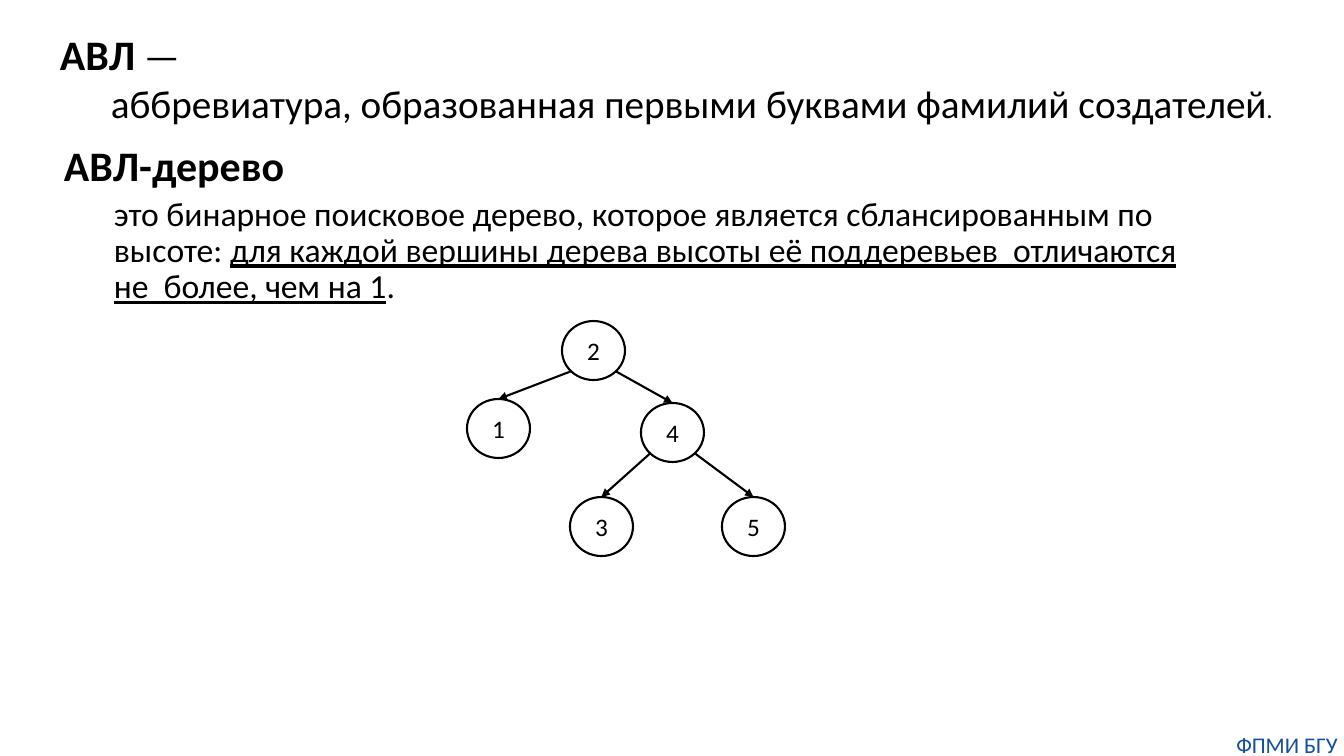
import pptx
import pptx.util
import pptx.dml.color
import pptx.enum.shapes
import pptx.enum.text
import pptx.oxml.ns
import lxml.etree

BLACK = pptx.dml.color.RGBColor(0x00, 0x00, 0x00)
BLUE = pptx.dml.color.RGBColor(0x14, 0x4E, 0x9D)
ALIGN = pptx.enum.text.PP_ALIGN
EMU_PER_PX = 914400 / 100.8


def px(*lengths):
    return [pptx.util.Emu(round(length * EMU_PER_PX)) for length in lengths]


def write(frame, paragraphs):
    """Fill a frame from (indent in px, paragraph format, [(text, run format)])."""
    frame.word_wrap = True
    for index, (indent, layout, runs) in enumerate(paragraphs):
        paragraph = frame.add_paragraph() if index else frame.paragraphs[0]
        paragraph._p.get_or_add_pPr().set("marL", str(px(indent)[0]))
        for name, value in layout.items():
            setattr(paragraph, name, value)
        for text, look in runs:
            run = paragraph.add_run()
            run.text = text
            look = {"name": "Calibri", "color": BLACK, **look}
            run.font.color.rgb = look.pop("color")
            look["size"] = pptx.util.Pt(look["size"])
            for name, value in look.items():
                setattr(run.font, name, value)


deck = pptx.Presentation()
deck.slide_width, deck.slide_height = px(1344, 756)
shapes = deck.slides.add_slide(deck.slide_layouts[6]).shapes

# Abbreviation and definition
abbreviation = shapes.add_textbox(*px(0, 24, 1290, 109))
write(abbreviation.text_frame, [
    (50, {"alignment": ALIGN.JUSTIFY}, [
        ("АВЛ", {"size": 30, "bold": True}),
        ("\u00a0", {"size": 28, "bold": True}),
        ("— ", {"size": 28})]),
    (101, {"alignment": ALIGN.JUSTIFY}, [
        ("аббревиатура, образованная первыми буквами фамилий создателей", {"size": 28}),
        (". ", {"size": 18})]),
])
definition = shapes.add_textbox(*px(54, 140, 1158, 162))
write(definition.text_frame, [
    (0, {"line_spacing": 0.9}, [("АВЛ-дерево", {"size": 30, "bold": True})]),
    (50, {"line_spacing": 0.9, "space_before": pptx.util.Pt(5)}, [
        ("это бинарное поисковое дерево, которое является сблансированным по высоте: ",
         {"size": 24}),
        ("для каждой вершины дерева высоты её поддеревьев  отличаются не  более, чем на 1",
         {"size": 24, "underline": True}),
        (".", {"size": 24})]),
])

# Tree vertices: left and top of each circle
VERTEX_WIDTH, VERTEX_HEIGHT = 63, 59
vertices = {"2": (562, 321), "4": (641, 403), "1": (467, 399),
            "3": (570, 497), "5": (722, 497)}
for key, (left, top) in vertices.items():
    vertex = shapes.add_shape(pptx.enum.shapes.MSO_SHAPE.OVAL,
                              *px(left, top, VERTEX_WIDTH, VERTEX_HEIGHT))
    vertex.shadow.inherit = False
    vertex.fill.background()
    vertex.line.color.rgb = BLACK
    vertex.line.width = pptx.util.Pt(1.5)
    vertex.text_frame.vertical_anchor = pptx.enum.text.MSO_ANCHOR.MIDDLE
    write(vertex.text_frame, [(0, {"alignment": ALIGN.CENTER}, [(key, {"size": 18})])])

# Edges: from the lower diagonal point of the parent to the top of the child
DIAGONAL = 0.35
for parent, child, side in [("2", "1", -1), ("2", "4", 1), ("4", "3", -1), ("4", "5", 1)]:
    parent_left, parent_top = vertices[parent]
    child_left, child_top = vertices[child]
    edge = shapes.add_connector(
        pptx.enum.shapes.MSO_CONNECTOR.STRAIGHT,
        *px(parent_left + VERTEX_WIDTH * (0.5 + side * DIAGONAL),
            parent_top + VERTEX_HEIGHT * (0.5 + DIAGONAL),
            child_left + VERTEX_WIDTH / 2, child_top))
    edge.line.color.rgb = BLACK
    edge.line.width = pptx.util.Pt(1.5)
    lxml.etree.SubElement(edge.line._get_or_add_ln(),
                          pptx.oxml.ns.qn("a:tailEnd"), type="triangle")
    lxml.etree.SubElement(edge._element.spPr, pptx.oxml.ns.qn("a:effectLst"))

# Faculty mark
faculty = shapes.add_textbox(*px(1230, 731, 114, 27))
for margin in ("left", "top", "right", "bottom"):
    setattr(faculty.text_frame, f"margin_{margin}", 0)
write(faculty.text_frame, [
    (0, {"alignment": ALIGN.CENTER}, [("ФПМИ БГУ", {"size": 16, "color": BLUE})])])

deck.save("out.pptx")
